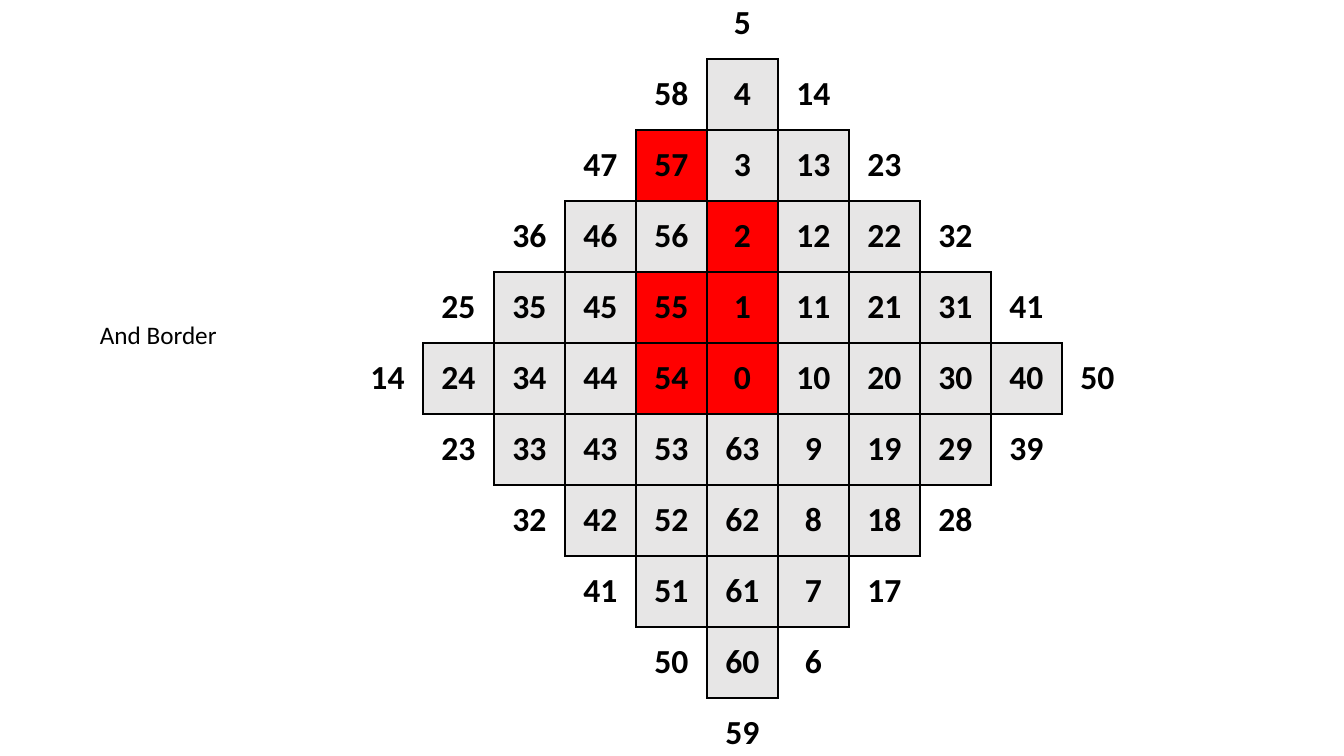
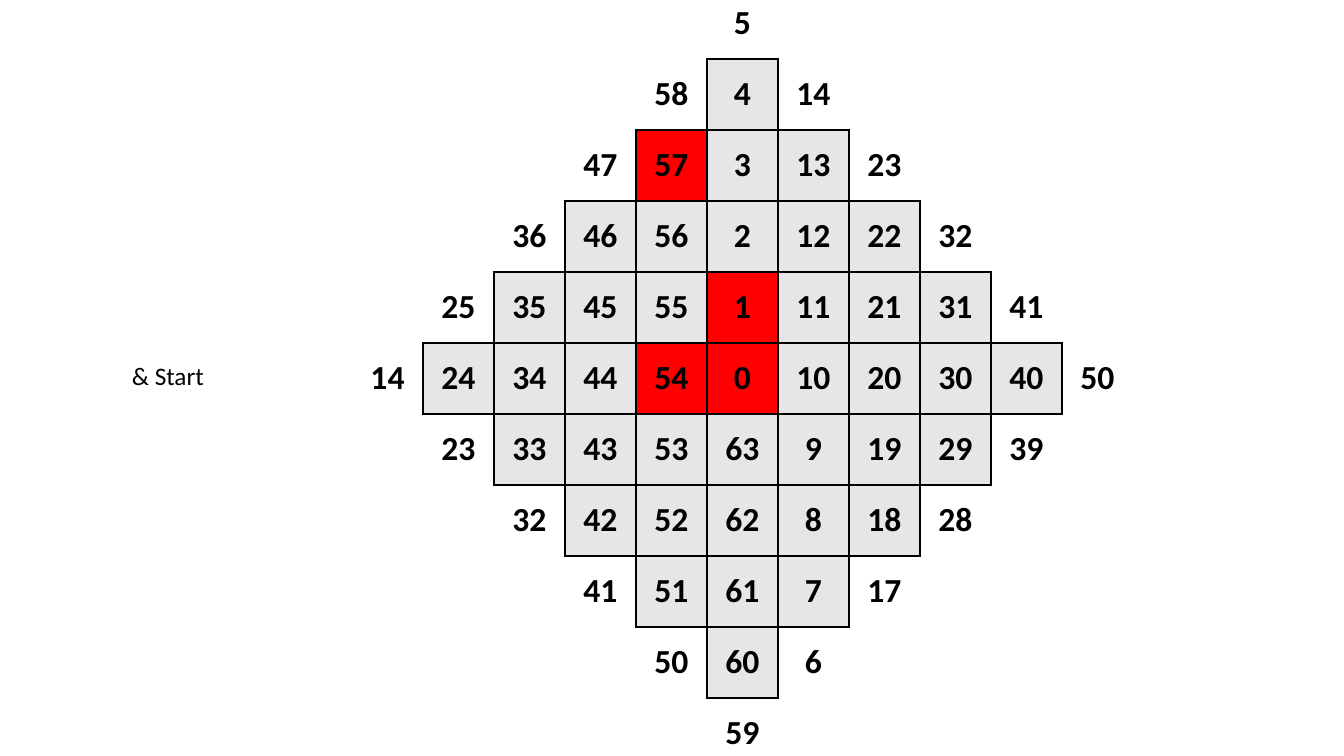
from lxml.etree import SubElement
from pptx import Presentation
from pptx.dml.color import RGBColor
from pptx.enum.text import MSO_ANCHOR, MSO_AUTO_SIZE, PP_ALIGN
from pptx.oxml.ns import qn
from pptx.util import Pt

SCALE = 914400 / 100.8
FONT = "Calibri"
BLACK, WHITE, GREY, RED = "000000", "FFFFFF", "E7E6E6", "FF0000"
NO_STYLE = "{2D5ABB26-0587-4C30-8999-92F81FD0307C}"

SIZE = 11                # cells along each side of the board
CENTER = SIZE // 2       # row and column of value 0
RADIUS = CENTER - 1      # reach of the filled diamond
MODULUS = 64
COLUMN_STEP = 10
CELL = 71
BOARD_LEFT, BOARD_TOP = 352, -12
EDGES = {"a:lnL": (0, -1), "a:lnR": (0, 1), "a:lnT": (-1, 0), "a:lnB": (1, 0)}

# label, its box (left, top, width, height), and the red values
SLIDES = [
    ("And Border", (90, 314, 138, 40), {0, 1, 2, 54, 55, 57}),
    ("& Start", (122, 355, 93, 40), {0, 1, 54, 57}),
]


def px(n):
    """Convert pixels to EMU."""
    return round(n * SCALE)


def color(hex_string):
    """Convert a hex string to a colour."""
    return RGBColor.from_string(hex_string)


def style_run(r, size, bold=False):
    """Apply the deck font to a run."""
    r.font.name = FONT
    r.font.size = Pt(size)
    r.font.bold = bold
    r.font.color.rgb = color(BLACK)


def distance(row, col):
    """Count the steps from the center cell."""
    return abs(row - CENTER) + abs(col - CENTER)


def value_at(row, col):
    """Each step up adds 1 and each step right adds 10, modulo 64."""
    return (CENTER - row + COLUMN_STEP * (col - CENTER)) % MODULUS


def add_edge(cell, tag, visible):
    """Draw or hide one edge of a table cell."""
    ln = SubElement(cell._tc.get_or_add_tcPr(), qn(tag), w=str(Pt(1)))
    if visible:
        fill = SubElement(ln, qn("a:solidFill"))
        SubElement(fill, qn("a:srgbClr"), val=BLACK)
    else:
        SubElement(ln, qn("a:noFill"))


def format_cell(cell, row, col, red_values):
    """Give a cell its edges, fill and value."""
    inside = distance(row, col) <= RADIUS
    for tag, (down, right) in EDGES.items():
        neighbour_inside = distance(row + down, col + right) <= RADIUS
        add_edge(cell, tag, inside or neighbour_inside)

    value = value_at(row, col)
    if inside:
        cell.fill.solid()
        cell.fill.fore_color.rgb = color(RED if value in red_values else GREY)
    else:
        cell.fill.background()

    if distance(row, col) <= RADIUS + 1:
        cell.vertical_anchor = MSO_ANCHOR.MIDDLE
        p = cell.text_frame.paragraphs[0]
        p.text = str(value)
        p.alignment = PP_ALIGN.CENTER
        style_run(p.runs[0], 24, bold=True)


def add_board(s, red_values):
    """Add the diamond of numbers as a square table."""
    side = px(CELL * SIZE)
    table = s.shapes.add_table(
        SIZE, SIZE, px(BOARD_LEFT), px(BOARD_TOP), side, side).table
    table.first_row = table.horz_banding = False
    table._tbl.tblPr.find(qn("a:tableStyleId")).text = NO_STYLE
    for i in range(SIZE):
        table.columns[i].width = table.rows[i].height = px(CELL)
    for row in range(SIZE):
        for col in range(SIZE):
            format_cell(table.cell(row, col), row, col, red_values)


def add_label(s, text, box):
    """Add the caption beside the board."""
    tf = s.shapes.add_textbox(*map(px, box)).text_frame
    tf.word_wrap = False
    tf.auto_size = MSO_AUTO_SIZE.SHAPE_TO_FIT_TEXT
    tf.text = text
    style_run(tf.paragraphs[0].runs[0], 18)


def main():
    """Build and save the presentation."""
    prs = Presentation()
    prs.slide_width, prs.slide_height = px(1344), px(756)
    for text, box, red_values in SLIDES:
        s = prs.slides.add_slide(prs.slide_layouts[6])
        s.background.fill.solid()
        s.background.fill.fore_color.rgb = color(WHITE)
        add_board(s, red_values)
        add_label(s, text, box)
    prs.save("out.pptx")


main()
